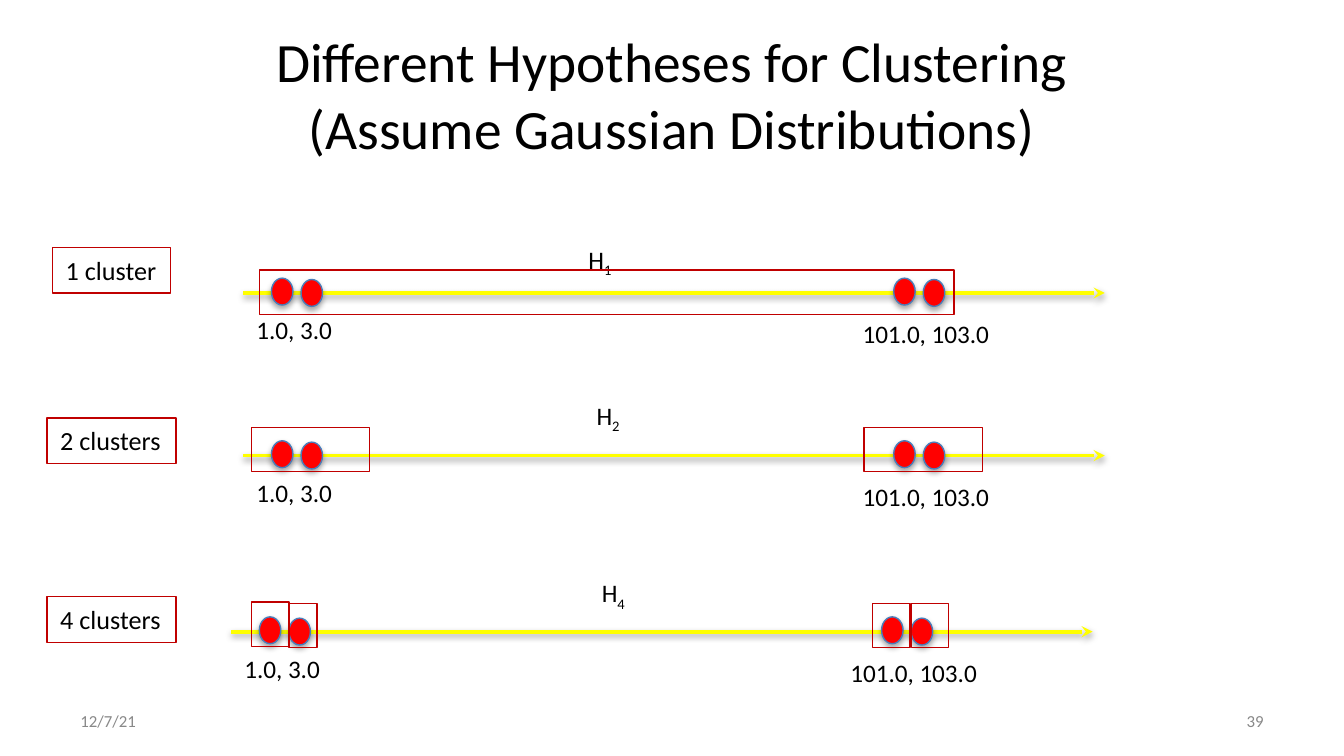
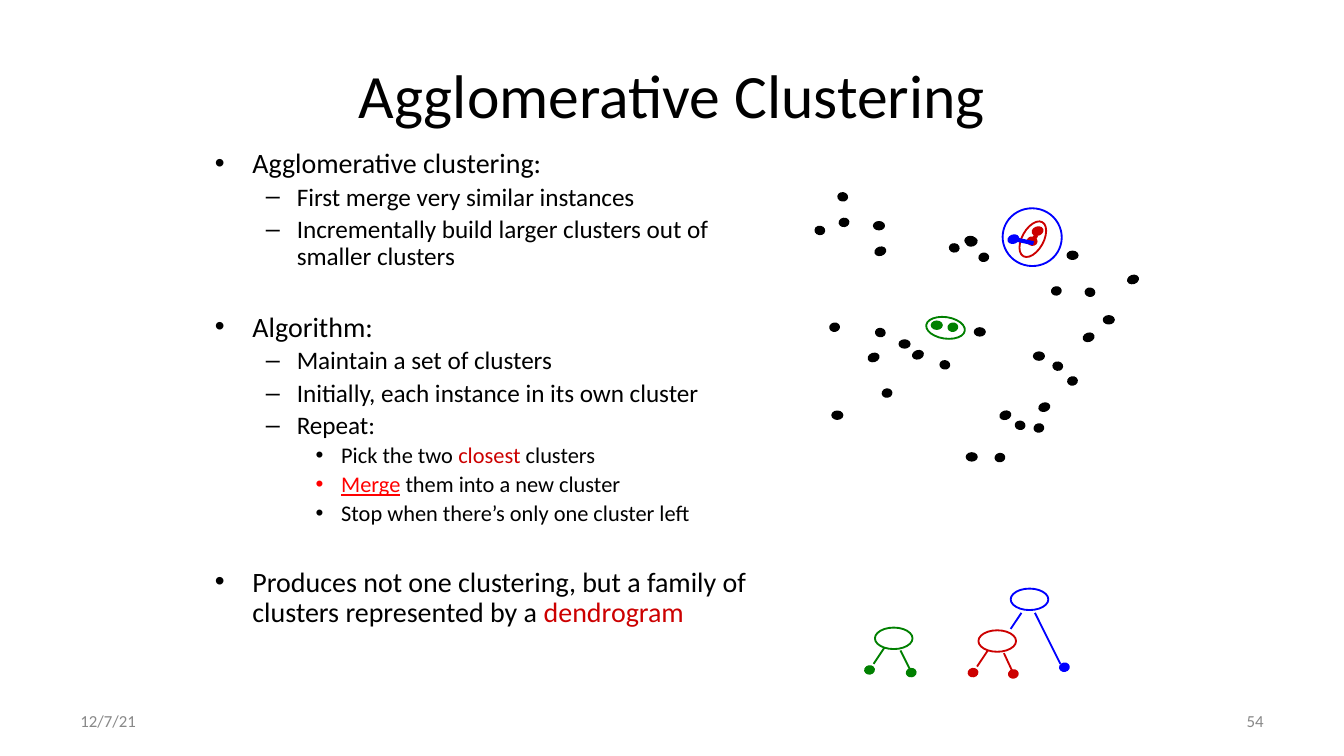
from lxml.etree import SubElement
from pptx import Presentation
from pptx.dml.color import RGBColor
from pptx.enum.shapes import MSO_CONNECTOR, MSO_SHAPE
from pptx.enum.text import MSO_ANCHOR, MSO_AUTO_SIZE, PP_ALIGN
from pptx.oxml.ns import qn
from pptx.util import Inches, Pt

FONT = "Calibri"
BULLET_FONT = "Arial"
BLACK = RGBColor(0x00, 0x00, 0x00)
GREY = RGBColor(0x88, 0x88, 0x88)
YELLOW = RGBColor(0xFF, 0xFF, 0x00)
BRIGHT_RED = RGBColor(0xFF, 0x00, 0x00)
FRAME_RED = RGBColor(0xC0, 0x00, 0x00)
RED = RGBColor(0xCC, 0x00, 0x00)
GREEN = RGBColor(0x00, 0x80, 0x00)
BLUE = RGBColor(0x00, 0x00, 0xFF)
DOT_OUTLINE = RGBColor(0x4A, 0x7D, 0xBA)

SLIDE_WIDTH = 10
SLIDE_HEIGHT = SLIDE_WIDTH * 9 / 16
TITLE_BOX = (0.5, 0.23, 9, 0.94)
DATE_BOX = (0.5, 5.21, 2.33, 0.3)
NUMBER_BOX = (7.17, 5.21, 2.33, 0.3)

POINT_PAIRS = [
    ("1.0, 3.0", (0, 0.11, 0.77, 0.33), [(0.21, -0.11), (0.43, -0.1)]),
    ("101.0, 103.0", (4.51, 0.14, 1.16, 0.33), [(4.84, -0.11), (5.06, -0.1)]),
]

HYPOTHESES = [
    ((1.81, 2.18), "1", (2.47, -0.41), "1 cluster", (0.39, 1.84, 0.88, 0.34),
     [(0.12, -0.17, 5.17)]),
    ((1.81, 3.39), "2", (2.53, -0.46), "2 clusters", (0.35, 3.11, 0.96, 0.34),
     [(0.06, -0.21, 0.88), (4.62, -0.21, 0.88)]),
    ((1.72, 4.7), "4", (2.66, -0.45), "4 clusters", (0.35, 4.44, 0.96, 0.34),
     [(0.15, -0.22, 0.28), (0.43, -0.21, 0.21),
      (4.77, -0.21, 0.28), (5.06, -0.21, 0.28)]),
]

LEVELS = [(15, "•", 0.28, -0.28, 3), (13.5, "–", 0.61, -0.23, 2.7),
          (12, "•", 0.94, -0.19, 2.4)]
SECTION_GAP = 22.5

OUTLINE = [
    (0, 0, [("Agglomerative clustering:", BLACK)]),
    (1, None, [("First merge very similar instances", BLACK)]),
    (1, None, [("Incrementally build larger clusters out of smaller clusters", BLACK)]),
    (0, SECTION_GAP, [("Algorithm:", BLACK)]),
    (1, None, [("Maintain a set of clusters", BLACK)]),
    (1, None, [("Initially, each instance in its own cluster", BLACK)]),
    (1, None, [("Repeat:", BLACK)]),
    (2, None, [("Pick the two ", BLACK), ("closest ", RED), ("clusters", BLACK)]),
    (2, None, [("Merge", BRIGHT_RED), (" them into a new cluster", BLACK)]),
    (2, None, [("Stop when there’s only one cluster left", BLACK)]),
    (0, SECTION_GAP, [
        ("Produces not one clustering, but a family of clusters represented by a ", BLACK),
        ("dendrogram", RED)]),
]

DOT_SIZES = {0: (0.08, 0.06), 341.4: (0.08, 0.06), 98.3: (0.06, 0.07), 79.6: (0.06, 0.07)}

INSTANCES = {
    0: [(0.69, 1.13), (2.21, 0.95), (1.19, 1.97), (1.25, 1.04), (1.18, 0.36),
        (0.5, 0.25), (0.19, 1.66), (1.69, 1.22), (1.94, 0.47)],
    341.4: [(2.39, 0.65), (1.44, 1.66), (1.73, 1.6), (0.46, 1.23), (1.19, 0.37),
            (0.51, 0.44), (0.79, 1.21), (2.06, 1.08)],
    98.3: [(0.07, 0.28), (1, 1.28), (0.52, 1.04), (1.07, 0.41), (1.84, 1.29),
           (2.08, 0.74), (0.24, 0.03), (1.56, 1.73)],
    79.6: [(1.41, 1.97), (0.18, 1), (0.57, 1.49), (0.25, 0.22), (1.95, 1.4),
           (1.83, 0.73), (1.29, 0.48), (1.7, 1.75)],
}

MERGES = [
    (RED, [(1.68, 0.29, 341.4), (1.65, 0.36, 98.3)],
     (1.54, 0.3, 0.29, 0.16), 299.1, (1.68, 0.4, 1.71, 0.35)),
    (GREEN, [(0.93, 0.99, 0), (1.06, 1, 79.6)],
     (0.89, 0.96, 0.29, 0.16), 8.3, (0.96, 1.02, 1, 1.03)),
    (BLUE, [(1.5, 0.35, 341.4)],
     (1.46, 0.15, 0.44, 0.43), 8.3, (1.55, 0.38, 1.69, 0.41)),
]

TREE_NODES = [
    (GREEN, (0.11, 0.37), [(-0.01, 0.27, 0.07, 0.15), (0.19, 0.17, 0.27, 0.33)],
     [(0.24, 0.3), (-0.07, 0.28)]),
    (RED, (0.88, 0.39), [(-0.01, 0.27, 0.07, 0.15), (0.19, 0.17, 0.25, 0.3)],
     [(0.23, 0.29), (-0.07, 0.28)]),
    (BLUE, (1.12, 0.08), [(0, 0.3, 0.08, 0.18), (0.18, 0.18, 0.37, 0.56)],
     [(0.37, 0.55)]),
]


def lengths(values):
    return [Inches(value) for value in values]


def shift(origin, box):
    return (origin[0] + box[0], origin[1] + box[1], *box[2:])


def format_font(font, size, color):
    font.name = FONT
    font.size = Pt(size)
    font.color.rgb = color


def set_effects(shape, shadow=None):
    effects = SubElement(shape._element.spPr, qn("a:effectLst"))
    if shadow:
        opacity, blur, distance = shadow
        outer = SubElement(effects, qn("a:outerShdw"), blurRad=str(Pt(blur)),
                           dist=str(Pt(distance)), dir="5400000", rotWithShape="0")
        color = SubElement(outer, qn("a:srgbClr"), val=str(BLACK))
        SubElement(color, qn("a:alpha"), val=str(opacity * 1000))


def add_outline(shapes, kind, box, line, width=0.75, fill=None, rotation=0, shadow=None):
    shape = shapes.add_shape(kind, *lengths(box))
    shape.rotation = rotation
    if fill is None:
        shape.fill.background()
    else:
        shape.fill.solid()
        shape.fill.fore_color.rgb = fill
    shape.line.color.rgb = line
    shape.line.width = Pt(width)
    set_effects(shape, shadow)
    return shape


def add_line(shapes, ends, color, width, shadow=None, arrow=False):
    line = shapes.add_connector(MSO_CONNECTOR.STRAIGHT, *lengths(ends))
    line.line.color.rgb = color
    line.line.width = Pt(width)
    if arrow:
        SubElement(line.line._get_or_add_ln(), qn("a:tailEnd"), type="stealth")
    set_effects(line, shadow)


def add_label(shapes, box, text, size, color=BLACK, align=PP_ALIGN.LEFT,
              anchor=MSO_ANCHOR.TOP, wrap=False):
    label = shapes.add_textbox(*lengths(box))
    frame = label.text_frame
    frame.text = text
    frame.word_wrap = wrap
    frame.vertical_anchor = anchor
    paragraph = frame.paragraphs[0]
    paragraph.alignment = align
    format_font(paragraph.runs[0].font, size, color)
    return paragraph


def add_titled_slide(presentation, title, size, number):
    slide = presentation.slides.add_slide(presentation.slide_layouts[5])
    shape = slide.shapes.title
    shape.left, shape.top, shape.width, shape.height = lengths(TITLE_BOX)
    frame = shape.text_frame
    frame.text = title
    frame.word_wrap = True
    frame.auto_size = MSO_AUTO_SIZE.NONE
    frame.vertical_anchor = MSO_ANCHOR.MIDDLE
    paragraph = frame.paragraphs[0]
    paragraph.alignment = PP_ALIGN.CENTER
    for run in paragraph.runs:
        format_font(run.font, size, BLACK)
    for box, text, align in ((DATE_BOX, "12/7/21", PP_ALIGN.LEFT),
                             (NUMBER_BOX, number, PP_ALIGN.RIGHT)):
        add_label(slide.shapes, box, text, 9, GREY, align, MSO_ANCHOR.MIDDLE, True)
    return slide


def add_number_line(slide, origin):
    shapes = slide.shapes.add_group_shape().shapes
    left, top = origin
    add_line(shapes, (left, top, left + 6.41, top), YELLOW, 2, (38, 3.1, 1.6), True)
    for values, box, dots in POINT_PAIRS:
        for dot in dots:
            add_outline(shapes, MSO_SHAPE.OVAL, shift(origin, (*dot, 0.16, 0.2)),
                        DOT_OUTLINE, fill=BRIGHT_RED, shadow=(35, 3.1, 1.8))
        add_label(shapes, shift(origin, box), values, 13.5)


def add_hypothesis(slide, origin, index, name_offset, count, count_box, clusters):
    add_number_line(slide, origin)
    name = add_label(slide.shapes, shift(origin, (*name_offset, 0.38, 0.33)), "H", 13.5)
    subscript = name.add_run()
    subscript.text = index
    format_font(subscript.font, 13.5, BLACK)
    subscript._r.get_or_add_rPr().set("baseline", "-25000")
    badge = add_outline(slide.shapes, MSO_SHAPE.RECTANGLE, count_box, FRAME_RED)
    frame = badge.text_frame
    frame.text = count
    frame.word_wrap = False
    frame.vertical_anchor = MSO_ANCHOR.TOP
    frame.paragraphs[0].alignment = PP_ALIGN.LEFT
    format_font(frame.paragraphs[0].runs[0].font, 14, BLACK)
    for cluster in clusters:
        add_outline(slide.shapes, MSO_SHAPE.RECTANGLE, shift(origin, (*cluster, 0.33)),
                    FRAME_RED)


def add_bullets(slide, box):
    frame = slide.shapes.add_textbox(*lengths(box)).text_frame
    frame.word_wrap = True
    for position, (level, gap, pieces) in enumerate(OUTLINE):
        size, mark, margin, indent, space = LEVELS[level]
        paragraph = frame.add_paragraph() if position else frame.paragraphs[0]
        paragraph.level = level
        properties = paragraph._p.get_or_add_pPr()
        properties.set("marL", str(Inches(margin)))
        properties.set("indent", str(Inches(indent)))
        bullet_color = SubElement(properties, qn("a:buClr"))
        SubElement(bullet_color, qn("a:srgbClr"), val=str(pieces[0][1]))
        SubElement(properties, qn("a:buFont"), typeface=BULLET_FONT)
        SubElement(properties, qn("a:buChar"), char=mark)
        paragraph.line_spacing = 0.9
        paragraph.space_before = Pt(space if gap is None else gap)
        for text, color in pieces:
            run = paragraph.add_run()
            run.text = text
            format_font(run.font, size, color)
            if color == BRIGHT_RED:
                run.font.underline = True


def add_dot(shapes, origin, offset, rotation, color):
    add_outline(shapes, MSO_SHAPE.OVAL, shift(origin, (*offset, *DOT_SIZES[rotation])),
                color, fill=color, rotation=rotation)


def add_link(shapes, origin, ends, color, width):
    add_line(shapes, shift(origin, ends[:2]) + shift(origin, ends[2:]), color, width)


def add_scatter(slide, origin):
    shapes = slide.shapes.add_group_shape().shapes
    for rotation, offsets in INSTANCES.items():
        for offset in offsets:
            add_dot(shapes, origin, offset, rotation, BLACK)
    for color, dots, ring, ring_rotation, link in MERGES:
        shapes = slide.shapes.add_group_shape().shapes
        for left, top, rotation in dots:
            add_dot(shapes, origin, (left, top), rotation, color)
        add_outline(shapes, MSO_SHAPE.OVAL, shift(origin, ring), color, 1,
                    rotation=ring_rotation)
        add_link(shapes, origin, link, color, 2.25)


def add_dendrogram(slide, origin):
    for color, offset, branches, leaves in TREE_NODES:
        shapes = slide.shapes.add_group_shape().shapes
        node = shift(origin, offset)
        for leaf in leaves:
            add_dot(shapes, node, leaf, 79.6, color)
        add_outline(shapes, MSO_SHAPE.OVAL, (*node, 0.28, 0.16), color, 1)
        for branch in branches:
            add_link(shapes, node, branch, color, 1)


def build_hypotheses(presentation):
    slide = add_titled_slide(
        presentation,
        "Different Hypotheses for Clustering\v(Assume Gaussian Distributions)", 29.7, "39")
    for hypothesis in HYPOTHESES:
        add_hypothesis(slide, *hypothesis)


def build_agglomerative(presentation):
    slide = add_titled_slide(presentation, "Agglomerative Clustering", 33, "54")
    add_bullets(slide, (1.5, 1.06, 4.31, 4))
    add_dendrogram(slide, (6.4, 4.3))
    add_scatter(slide, (6, 1.4))


def main():
    presentation = Presentation()
    presentation.slide_width = Inches(SLIDE_WIDTH)
    presentation.slide_height = Inches(SLIDE_HEIGHT)
    build_hypotheses(presentation)
    build_agglomerative(presentation)
    presentation.save("out.pptx")


if __name__ == "__main__":
    main()
